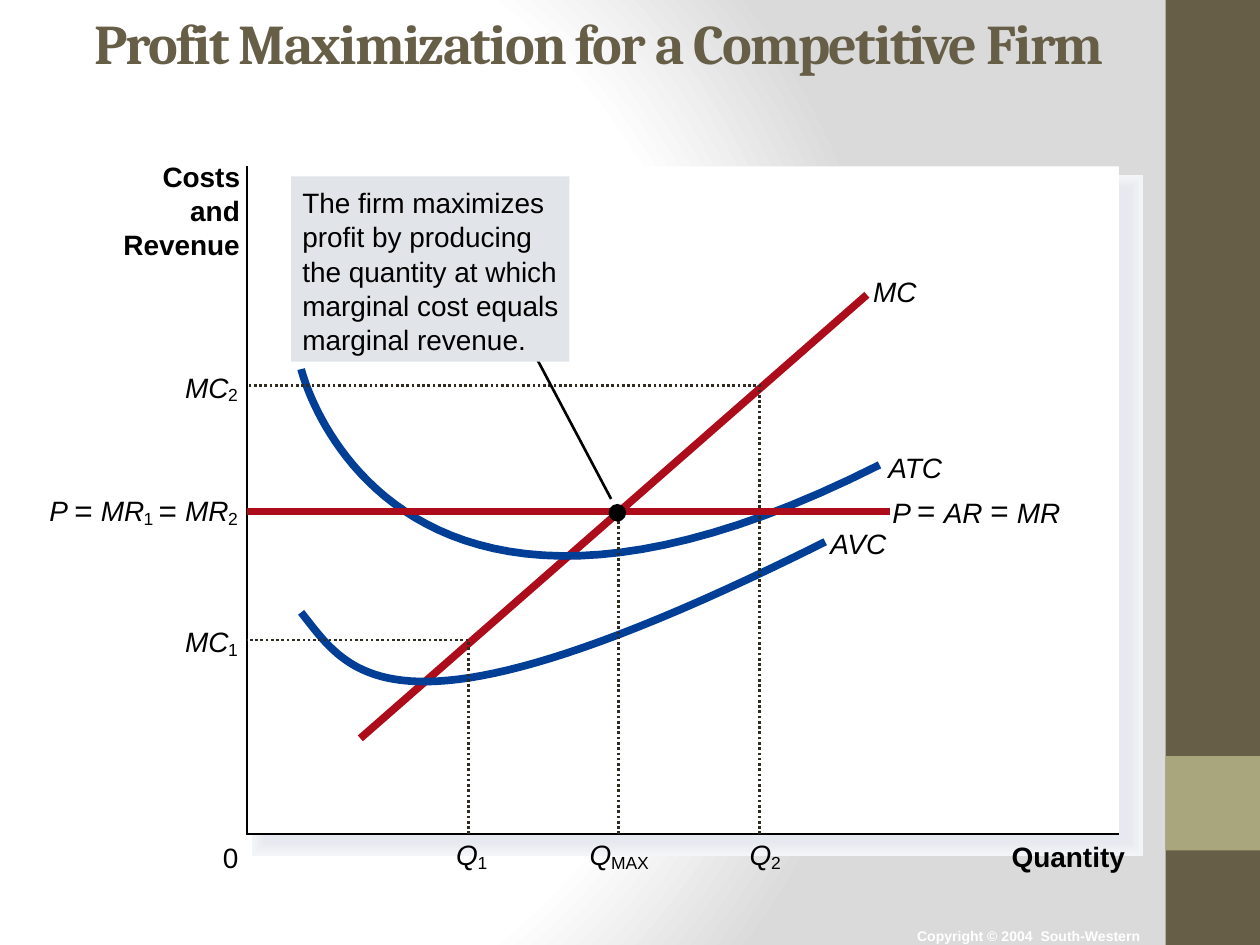
from dataclasses import dataclass

import lxml.etree
import pptx
import pptx.dml.color
import pptx.enum.dml
import pptx.enum.shapes
import pptx.enum.text
import pptx.oxml
import pptx.oxml.ns
import pptx.util

PX = 9144  # 100 px to the inch
COLORS = {
    "brown": "675E47", "olive": "A9A57C", "white": "FFFFFF", "black": "000000",
    "red": "AD0D1B", "blue": "003F95", "dots": "2F2B20", "callout": "E1E5E9", "edge": "DADADA",
}
SHADOW_BANDS = [
    ("F3F6F9", 16.25), ("F2F4F8", 14.75), ("F1F4F7", 13.25), ("F0F2F5", 11.75),
    ("EEF1F4", 10.25), ("EDEFF3", 8.88), ("EBEEF2", 7.38), ("EAECF1", 5.88),
    ("E9EBF0", 4.38), ("E7EAEF", 3), ("E6E9EF", 1.5),
]


def font_format(size: int, **extra) -> dict:
    return {"name": "Arial", "size": pptx.util.Pt(size), **extra}


FORMATS = {
    "title": font_format(32, bold=True) | {"name": "Cambria"},
    "copyright": font_format(8, bold=True),
    "plain": font_format(16),
    "bold": font_format(16, bold=True),
    "symbol": font_format(16, italic=True),
    "sign": font_format(18),
    "sub": font_format(10),
}
HEIGHTS = {"title": 75, "copyright": 23, "sign": 30, "sub": 17}
AXIS_X, AXIS_Y, AXIS_TOP, AXIS_RIGHT = 196, 662, 132, 888
PRICE_Y = 406
LINE_PITCH = 27.3
CURVE_WIDTH = 4.38
SUB_DROP = 11
SLACK = 4  # spare box width that keeps every label on one line


@dataclass
class Label:
    text: str
    x: int
    y: int
    width: int
    style: str = "symbol"
    color: str = "black"


@dataclass
class Curve:
    points: list
    label: Label


@dataclass
class Guide:
    """Dotted lines from a point to both axes, with the quantity below."""
    x: int
    y: int
    quantity_x: int
    sub: str
    sub_width: int = 8
    cost: bool = True


CURVES = [
    Curve([(239, 293), (239, 293), (305, 568), (698, 369)], Label("ATC", 705, 358, 44)),
    Curve([(239, 486), (278, 535), (311, 602), (655, 430)], Label("AVC", 659, 418, 45)),
]
LOW_GUIDE = Guide(372, 508, 362, "1")
HIGH_GUIDE = Guide(603, 306, 595, "2")
BEST_GUIDE = Guide(491, PRICE_Y, 468, "MAX", 30, cost=False)
AXIS_LABELS = [
    Label("Quantity", 803, 666, 90, "bold"), Label("0", 177, 667, 12, "plain"),
    Label("Costs", 129, 127, 62, "bold"), Label("and", 151, 154, 39, "bold"),
    Label("Revenue", 98, 181, 92, "bold"),
]
CALLOUT_LINES = [
    ("The firm maximizes", 193), ("profit by producing", 189), ("the quantity at which", 203),
    ("marginal cost equals", 204), ("marginal revenue.", 178),
]
PRICE_LABELS = [
    Label(" P", 33, 392, 27), Label("=", 59, 390, 22, "sign"),
    Label("MR", 80, 392, 35), Label("1", 114, 403, 11, "sub"),
    Label("=", 126, 390, 22, "sign"),
    Label("MR", 147, 392, 35), Label("2", 181, 403, 8, "sub"),
    Label(" P", 702, 393, 27), Label("=", 728, 390, 22, "sign"),
    Label("AR", 749, 393, 37), Label("=", 786, 390, 22, "sign"),
    Label("MR", 807, 393, 35),
]


def emu(px: float) -> int:
    return round(px * PX)


def rgb(color: str) -> pptx.dml.color.RGBColor:
    return pptx.dml.color.RGBColor.from_string(COLORS.get(color, color))


def paint_background(page) -> None:
    stops = [(0, "white"), (75, "white"), (100, "edge")]
    stop_xml = "".join(f'<a:gs pos="{at * 1000}"><a:srgbClr val="{COLORS[color]}"/></a:gs>'
                       for at, color in stops)
    gradient = pptx.oxml.parse_xml(
        f'<a:gradFill {pptx.oxml.ns.nsdecls("a")} rotWithShape="1"><a:gsLst>{stop_xml}</a:gsLst>'
        '<a:path path="circle"><a:fillToRect l="20000" t="50000" r="100000" b="50000"/></a:path>'
        '</a:gradFill>')
    page.background.fill.solid()
    solid = page.background._cSld.find(".//" + pptx.oxml.ns.qn("a:solidFill"))
    solid.getparent().replace(solid, gradient)


def add_shape(page, x: int, y: int, width: int, height: int, fill: str,
              line_width: float = 0, kind: str = "RECTANGLE") -> None:
    shape = page.shapes.add_shape(getattr(pptx.enum.shapes.MSO_SHAPE, kind),
                                  *map(emu, (x, y, width, height)))
    shape.shadow.inherit = False
    shape.fill.solid()
    shape.fill.fore_color.rgb = rgb(fill)
    if line_width:
        style_line(shape.line, fill, line_width)
    else:
        shape.line.fill.background()


def style_line(line, color: str, width: float) -> None:
    """Colour and width, with square corners."""
    line.color.rgb = rgb(color)
    line.width = pptx.util.Pt(width)
    miter = lxml.etree.SubElement(line._get_or_add_ln(), pptx.oxml.ns.qn("a:miter"))
    miter.set("lim", "800000")


def add_line(page, start: tuple, end: tuple, color: str, width: float) -> None:
    line = page.shapes.add_connector(pptx.enum.shapes.MSO_CONNECTOR.STRAIGHT,
                                     *map(emu, (*start, *end)))
    style_line(line.line, color, width)
    lxml.etree.SubElement(line._element.spPr, pptx.oxml.ns.qn("a:effectLst"))


def add_path(page, points: list, color: str, width: float, dotted: bool = False) -> None:
    start, *rest = [(emu(x), emu(y)) for x, y in points]
    builder = page.shapes.build_freeform(*start)
    builder.add_line_segments(rest, close=False)
    shape = builder.convert_to_shape()
    shape.shadow.inherit = False
    shape.fill.background()
    style_line(shape.line, color, width)
    if dotted:
        shape.line.dash_style = pptx.enum.dml.MSO_LINE.ROUND_DOT


def bezier(points: list, steps: int = 48) -> list:
    """Points along a cubic curve with the given four control points."""
    def at(t: float) -> tuple:
        weights = ((1 - t) ** 3, 3 * t * (1 - t) ** 2, 3 * t * t * (1 - t), t ** 3)
        return tuple(sum(w * p[axis] for w, p in zip(weights, points)) for axis in (0, 1))
    return [at(step / steps) for step in range(steps + 1)]


def add_label(page, label: Label, inset: bool = False):
    box = page.shapes.add_textbox(*map(emu, (label.x, label.y, label.width + SLACK,
                                             HEIGHTS.get(label.style, 27))))
    frame = box.text_frame
    frame.word_wrap = False
    frame.auto_size = pptx.enum.text.MSO_AUTO_SIZE.SHAPE_TO_FIT_TEXT
    if not inset:
        for side in ("left", "top", "right", "bottom"):
            setattr(frame, f"margin_{side}", 0)
    span = frame.paragraphs[0].add_run()
    span.text = label.text
    for name, value in FORMATS[label.style].items():
        setattr(span.font, name, value)
    span.font.color.rgb = rgb(label.color)
    return box


def add_title(page) -> None:
    box = add_label(page, Label("Profit Maximization for a Competitive Firm",
                                65, 1, 900, "title", "brown"), inset=True)
    frame = box.text_frame
    frame.word_wrap = True
    frame.auto_size = pptx.enum.text.MSO_AUTO_SIZE.NONE
    frame.vertical_anchor = pptx.enum.text.MSO_ANCHOR.MIDDLE
    para = frame.paragraphs[0]
    para.line_spacing = 0.8
    para.runs[0].font._element.set("spc", "-100")


def add_symbol(page, text: str, x: int, y: int, width: int, sub: str, sub_width: int) -> None:
    add_label(page, Label(text, x, y, width))
    add_label(page, Label(sub, x + width, y + SUB_DROP, sub_width, "sub"))


def add_guide(page, guide: Guide) -> None:
    add_path(page, [(guide.x, AXIS_Y), (guide.x, guide.y), (AXIS_X, guide.y)], "dots", 1.5, True)
    if guide.cost:
        add_symbol(page, "MC", 147, guide.y - 12, 34, guide.sub, guide.sub_width)
    add_symbol(page, "Q", guide.quantity_x, 665, 17, guide.sub, guide.sub_width)


def add_callout(page) -> None:
    add_line(page, (485, 396), (422, 277), "black", 1.5)
    add_shape(page, 231, 140, 221, 147, "callout")
    for row, (text, width) in enumerate(CALLOUT_LINES):
        add_label(page, Label(text, 240, round(147 + row * LINE_PITCH), width, "plain"))


def main() -> None:
    deck = pptx.Presentation()
    deck.slide_width, deck.slide_height = emu(1000), emu(750)
    page = deck.slides.add_slide(deck.slide_layouts[6])
    paint_background(page)
    add_shape(page, 925, 0, 75, 750, "brown")
    add_shape(page, 925, 600, 75, 75, "olive")
    add_title(page)
    add_label(page, Label("Copyright © 2004  South-Western", 718, 731, 197,
                          "copyright", "white"), inset=True)
    for color, width in SHADOW_BANDS:
        add_shape(page, 211, 150, 685, 518, color, width)
    add_shape(page, AXIS_X, AXIS_TOP, AXIS_RIGHT - AXIS_X, AXIS_Y - AXIS_TOP, "white")
    add_path(page, [(AXIS_X, AXIS_TOP), (AXIS_X, AXIS_Y), (AXIS_RIGHT, AXIS_Y)], "black", 1.5)
    for label in AXIS_LABELS:
        add_label(page, label)
    add_line(page, (286, 586), (688, 234), "red", CURVE_WIDTH)
    add_label(page, Label("MC", 693, 218, 35))
    for curve in CURVES:
        add_path(page, bezier(curve.points), "blue", CURVE_WIDTH)
        add_label(page, curve.label)
    add_guide(page, LOW_GUIDE)
    add_guide(page, HIGH_GUIDE)
    add_callout(page)
    add_guide(page, BEST_GUIDE)
    add_line(page, (AXIS_X, PRICE_Y), (706, PRICE_Y), "red", CURVE_WIDTH)
    for label in PRICE_LABELS:
        add_label(page, label)
    add_shape(page, 483, 400, 14, 14, "black", kind="OVAL")
    deck.save("out.pptx")


if __name__ == "__main__":
    main()
